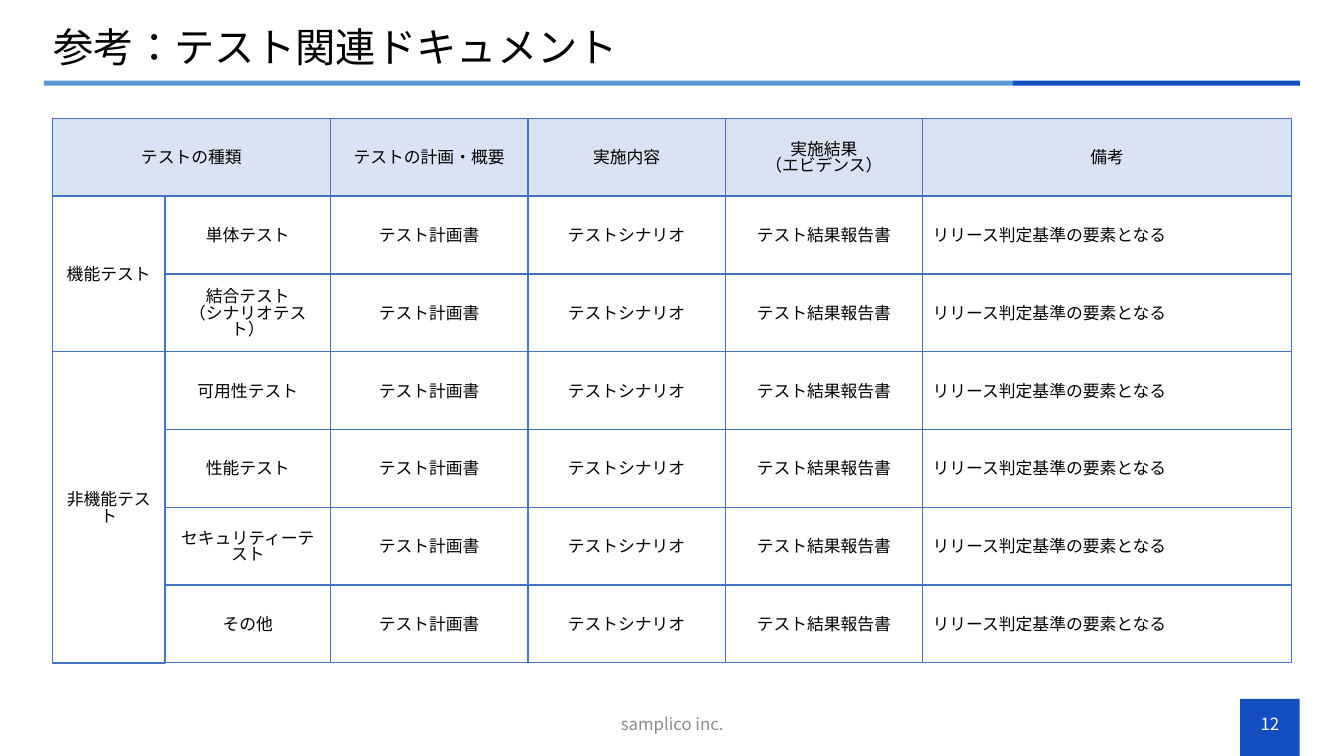
from dataclasses import dataclass
from itertools import accumulate

from lxml.etree import SubElement
from pptx import Presentation
from pptx.dml.color import RGBColor
from pptx.enum.shapes import MSO_SHAPE as Form
from pptx.enum.text import MSO_ANCHOR as Anchor, MSO_AUTO_SIZE as Fit, PP_ALIGN as Align
from pptx.oxml.ns import qn
from pptx.util import Pt

FONT = "Noto Sans CJK JP"
BLACK = RGBColor(0x00, 0x00, 0x00)
WHITE = RGBColor(0xFF, 0xFF, 0xFF)
GRAY = RGBColor(0x8C, 0x8C, 0x8C)
NAVY = RGBColor(0x13, 0x4E, 0xC1)
SKY = RGBColor(0x5B, 0x9B, 0xD5)
PALE = RGBColor(0xDA, 0xE3, 0xF3)
EDGE = RGBColor(0x44, 0x72, 0xC4)


@dataclass
class Box:
    x: float
    y: float
    w: float
    h: float
    color: RGBColor
    text: str = ""

    def place(self) -> tuple:
        return Pt(self.x), Pt(self.y), Pt(self.w), Pt(self.h)


@dataclass
class Group:
    name: str
    tests: list[str]


BARS = [
    Box(885.8, 499.2, 42.5, 40.8, NAVY),
    Box(31.3, 57.6, 692.2, 3.6, SKY),
    Box(723.4, 57.6, 205.1, 3.6, NAVY),
]
TITLE = Box(31, 15.5, 897.1, 39.6, BLACK, "参考：テスト関連ドキュメント")
NOTES = [
    Box(318.2, 502.6, 324, 28.8, GRAY, "samplico inc."),
    Box(885.8, 502.6, 42.5, 28.8, WHITE, "12"),
]
LEFT, TOP, STEP = 37.4, 84.5, 55.57
WIDTHS = [80.6, 118.1, 141, 141, 141, 263.5]
EDGES = list(accumulate(WIDTHS, initial=LEFT))
HEADS = ["テストの計画・概要", "実施内容", "実施結果\n（エビデンス）", "備考"]
DOCS = ["テスト計画書", "テストシナリオ", "テスト結果報告書",
        "リリース判定基準の要素となる"]
GROUPS = [
    Group("機能テスト", ["単体テスト", "結合テスト\n（シナリオテスト）"]),
    Group("非機能テスト", ["可用性テスト", "性能テスト",
                     "セキュリティーテスト", "その他"]),
]


def write(frame, text: str, color: RGBColor, size: float = 12,
          align: Align = Align.CENTER, pitch: float = 1) -> None:
    """Fill a text frame, one paragraph for each line of text."""
    frame.word_wrap = True
    frame.vertical_anchor = Anchor.MIDDLE
    for i, line in enumerate(text.split("\n")):
        para = frame.add_paragraph() if i else frame.paragraphs[0]
        para.alignment = align
        para.line_spacing = pitch
        run = para.add_run()
        run.text = line
        font = run.font
        font.name, font.size, font.color.rgb = FONT, Pt(size), color
        font._element.set("lang", "ja-JP")
        SubElement(font._element, qn("a:ea")).set("typeface", FONT)


def add_rect(slide, box: Box):
    shape = slide.shapes.add_shape(Form.RECTANGLE, *box.place())
    shape.shadow.inherit = False
    shape.fill.solid()
    shape.fill.fore_color.rgb = box.color
    shape.line.fill.background()
    return shape


def add_cell(slide, row: int, col: int, text: str, rows: int = 1,
             cols: int = 1, align: Align = Align.CENTER) -> None:
    """Draw one cell that covers the given rows and columns."""
    x = EDGES[col]
    shape = add_rect(slide, Box(x, TOP + row * STEP, EDGES[col + cols] - x,
                                rows * STEP, WHITE if row else PALE))
    shape.line.color.rgb = EDGE
    shape.line.width = Pt(1)
    frame = shape.text_frame
    frame.margin_top = Pt(5.6)
    write(frame, text, BLACK, align=align, pitch=0.83)


def add_note(slide, note: Box) -> None:
    frame = slide.shapes.add_textbox(*note.place()).text_frame
    write(frame, note.text, note.color)


def set_title(slide) -> None:
    title = slide.shapes.title
    title.left, title.top, title.width, title.height = TITLE.place()
    title.text_frame.auto_size = Fit.NONE
    write(title.text_frame, TITLE.text, TITLE.color, 28.8, Align.LEFT, 0.9)


def add_grid(slide) -> None:
    row = 1
    for group in GROUPS:
        add_cell(slide, row, 0, group.name, rows=len(group.tests))
        for test in group.tests:
            add_cell(slide, row, 1, test)
            row += 1
    add_cell(slide, 0, 0, "テストの種類", cols=2)
    for col, (head, doc) in enumerate(zip(HEADS, DOCS), 2):
        align = Align.LEFT if doc == DOCS[-1] else Align.CENTER
        for line in range(1, row):
            add_cell(slide, line, col, doc, align=align)
        add_cell(slide, 0, col, head)


def main() -> None:
    deck = Presentation()
    deck.slide_width, deck.slide_height = Pt(960), Pt(540)
    slide = deck.slides.add_slide(deck.slide_layouts[5])
    for bar in BARS:
        add_rect(slide, bar)
    set_title(slide)
    for note in NOTES:
        add_note(slide, note)
    add_grid(slide)
    deck.save("out.pptx")


if __name__ == "__main__":
    main()
